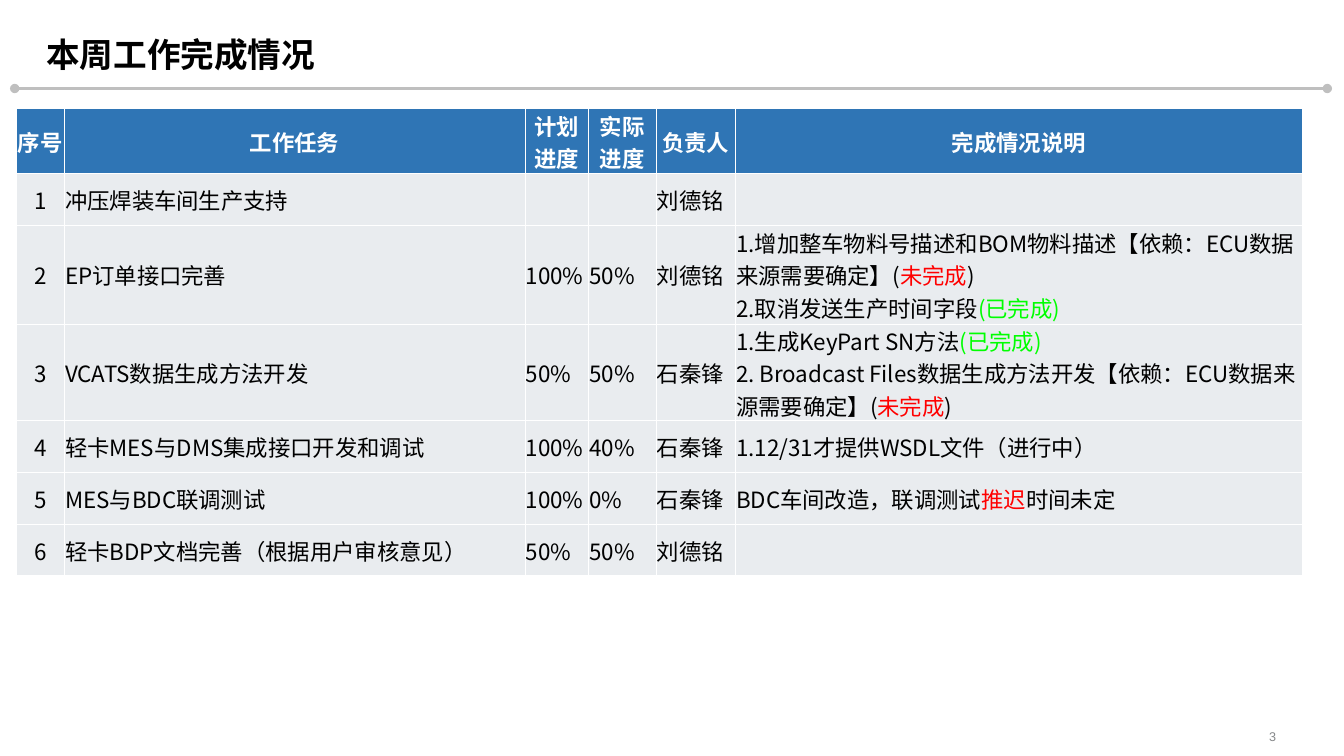
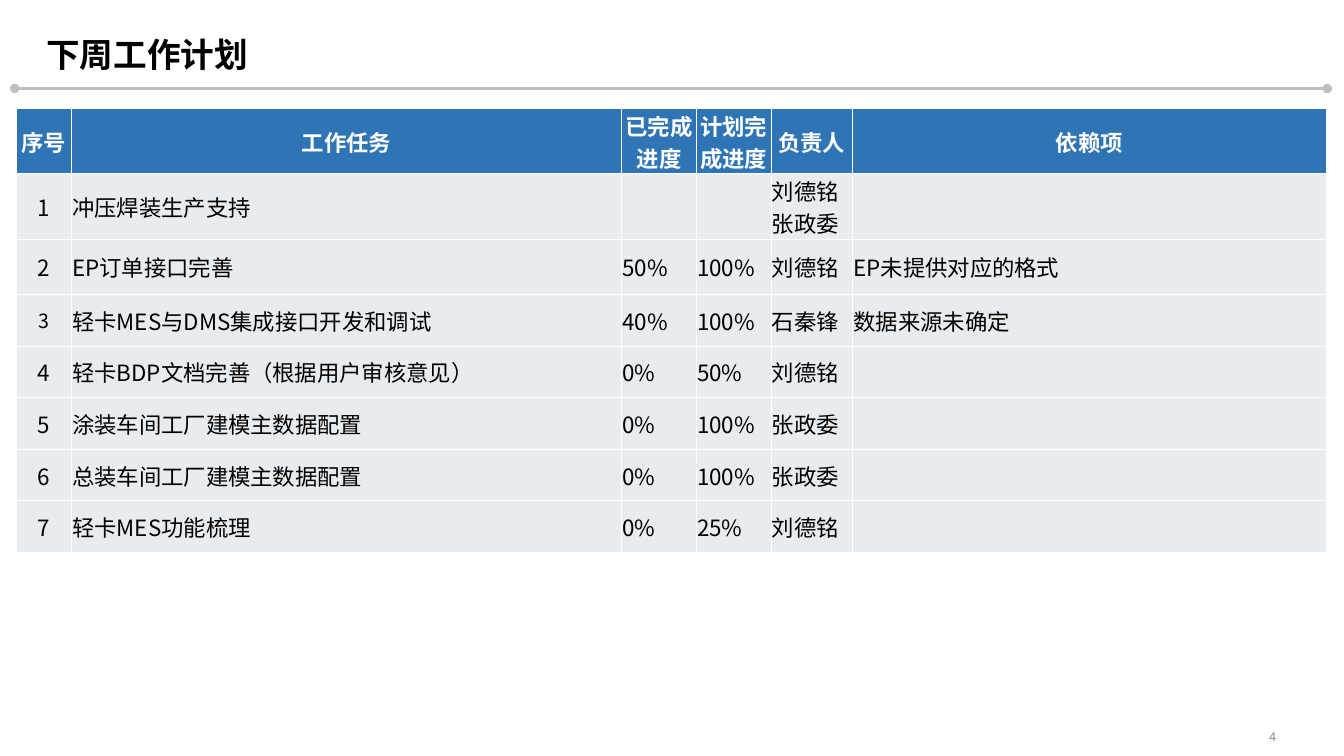
from pptx import Presentation
from pptx import util as u
from pptx.dml.color import RGBColor
from pptx.enum import shapes, text
from pptx.oxml.ns import qn
from lxml import etree

COLOURS = {
    "black": "000000", "white": "FFFFFF", "rule": "BFBFBF", "number": "858789",
    "header": "2F75B5", "body": "E9ECEF", "red": "FF0000", "green": "00FF00",
}
FONT = "Noto Sans CJK SC"
STATUS_COLOURS = {"未完成": "red", "(已完成)": "green", "推迟": "red"}

# Slide contents; an empty last row closes each table
PAGES = [
    {
        "number": "3",
        "title": "本周工作完成情况",
        "widths": [1.21, 11.61, 1.6, 1.7, 2.0, 14.3],
        "heights": [1.64, 1.32, 2.47, 2.44, 1.31, 1.31, 1.28, 0.94],
        "small": [],
        "rows": [
            ["序号", "工作任务", "计划进度", "实际进度", "负责人", "完成情况说明"],
            ["1", "冲压焊装车间生产支持", "", "", "刘德铭", ""],
            ["2", "EP订单接口完善", "100%", "50%", "刘德铭",
             "1.增加整车物料号描述和BOM物料描述【依赖：ECU数据来源需要确定】(未完成)\n"
             "2.取消发送生产时间字段(已完成)"],
            ["3", "VCATS数据生成方法开发", "50%", "50%", "石秦锋",
             "1.生成KeyPart SN方法(已完成)\n"
             "2. Broadcast Files数据生成方法开发【依赖：ECU数据来源需要确定】(未完成)"],
            ["4", "轻卡MES与DMS集成接口开发和调试", "100%", "40%", "石秦锋",
             "1.12/31才提供WSDL文件（进行中）"],
            ["5", "MES与BDC联调测试", "100%", "0%", "石秦锋",
             "BDC车间改造，联调测试推迟时间未定"],
            ["6", "轻卡BDP文档完善（根据用户审核意见）", "50%", "50%", "刘德铭", ""],
            [""] * 6,
        ],
    },
    {
        "number": "4",
        "title": "下周工作计划",
        "widths": [1.39, 13.87, 1.88, 1.88, 2.06, 11.93],
        "heights": [1.64, 1.65, 1.39, 1.31, 1.3, 1.3, 1.3, 1.3, 0.94],
        "small": [(3, 0)],
        "rows": [
            ["序号", "工作任务", "已完成进度", "计划完成进度", "负责人", "依赖项"],
            ["1", "冲压焊装生产支持", "", "", "刘德铭\n张政委", ""],
            ["2", "EP订单接口完善", "50%", "100%", "刘德铭", "EP未提供对应的格式"],
            ["3", "轻卡MES与DMS集成接口开发和调试", "40%", "100%", "石秦锋", "数据来源未确定"],
            ["4", "轻卡BDP文档完善（根据用户审核意见）", "0%", "50%", "刘德铭", ""],
            ["5", "涂装车间工厂建模主数据配置", "0%", "100%", "张政委", ""],
            ["6", "总装车间工厂建模主数据配置", "0%", "100%", "张政委", ""],
            ["7", "轻卡MES功能梳理", "0%", "25%", "刘德铭", ""],
            [""] * 6,
        ],
    },
]


def format_run(run, size, colour, bold=False, font=FONT):
    run.font.size = u.Pt(size)
    run.font.bold = bold
    run.font.name = font
    run.font.color.rgb = RGBColor.from_string(COLOURS[colour])
    east_asian = etree.SubElement(run.font._element, qn("a:ea"))
    east_asian.set("typeface", font)


def add_label(slide, box, words, anchor, alignment, bottom=0, **style):
    frame = slide.shapes.add_textbox(*[u.Cm(length) for length in box]).text_frame
    frame.word_wrap = True
    frame.vertical_anchor = anchor
    frame.margin_left = frame.margin_right = frame.margin_top = 0
    frame.margin_bottom = u.Cm(bottom)
    frame.text = words
    frame.paragraphs[0].alignment = alignment
    format_run(frame.paragraphs[0].runs[0], **style)


presentation = Presentation()
presentation.slide_width = u.Cm(33.87)
presentation.slide_height = u.Cm(19.05)

for page in PAGES:
    slide = presentation.slides.add_slide(presentation.slide_layouts[6])

    # Page number and title
    add_label(slide, (30.18, 18.22, 1.98, 0.69), page["number"],
              text.MSO_ANCHOR.MIDDLE, text.PP_ALIGN.RIGHT,
              size=9, colour="number", font="Arial")
    add_label(slide, (1.17, 0, 31.52, 2.06), page["title"],
              text.MSO_ANCHOR.BOTTOM, text.PP_ALIGN.LEFT, bottom=0.2,
              size=24, colour="black", bold=True)

    # Rule with round ends below the title
    rule = slide.shapes.add_connector(
        shapes.MSO_CONNECTOR.STRAIGHT, u.Cm(0.37), u.Cm(2.23), u.Cm(33.45), u.Cm(2.23))
    rule.line.color.rgb = RGBColor.from_string(COLOURS["rule"])
    rule.line.width = u.Pt(2.25)
    for end in ("a:headEnd", "a:tailEnd"):
        etree.SubElement(rule.line._get_or_add_ln(), qn(end)).set("type", "oval")
    etree.SubElement(rule._element.spPr, qn("a:effectLst"))

    # Task table
    rows, widths, heights = page["rows"], page["widths"], page["heights"]
    table = slide.shapes.add_table(
        len(rows), len(widths), u.Cm(0.41), u.Cm(2.73),
        u.Cm(sum(widths)), u.Cm(sum(heights))).table
    table.horz_banding = False
    for column, width in zip(table.columns, widths):
        column.width = u.Cm(width)
    for row, height in zip(table.rows, heights):
        row.height = u.Cm(height)

    for row_index, row in enumerate(rows):
        is_header = row_index == 0
        is_closing = row_index == len(rows) - 1
        for column_index, words in enumerate(row):
            cell = table.cell(row_index, column_index)
            cell.vertical_anchor = text.MSO_ANCHOR.MIDDLE
            cell.margin_left = cell.margin_right = cell.margin_top = u.Cm(0.02)
            cell.margin_bottom = 0

            # Borders come before the fill in the cell properties
            for side in "T" if is_closing else "LRTB":
                border = etree.SubElement(
                    cell._tc.get_or_add_tcPr(), qn(f"a:ln{side}"), w=str(u.Pt(0.5)))
                fill = etree.SubElement(border, qn("a:solidFill"))
                etree.SubElement(fill, qn("a:srgbClr"), val=COLOURS["white"])
            if is_closing:
                cell.fill.background()
            else:
                cell.fill.solid()
                cell.fill.fore_color.rgb = RGBColor.from_string(
                    COLOURS["header" if is_header else "body"])

            # Status words become runs of their own colour
            size = 14 if (row_index, column_index) in page["small"] else 16
            base_colour = "white" if is_header else "black"
            centred = is_header or column_index == 0
            cell.text_frame.text = words
            for paragraph in cell.text_frame.paragraphs:
                paragraph.alignment = (
                    text.PP_ALIGN.CENTER if centred else text.PP_ALIGN.LEFT)
                paragraph.font.size = u.Pt(size)
                marked = paragraph.text
                for status in STATUS_COLOURS:
                    marked = marked.replace(status, f"|{status}|")
                paragraph.text = ""
                for piece in filter(None, marked.split("|")):
                    run = paragraph.add_run()
                    run.text = piece
                    format_run(run, size, STATUS_COLOURS.get(piece, base_colour), is_header)

presentation.save("out.pptx")
